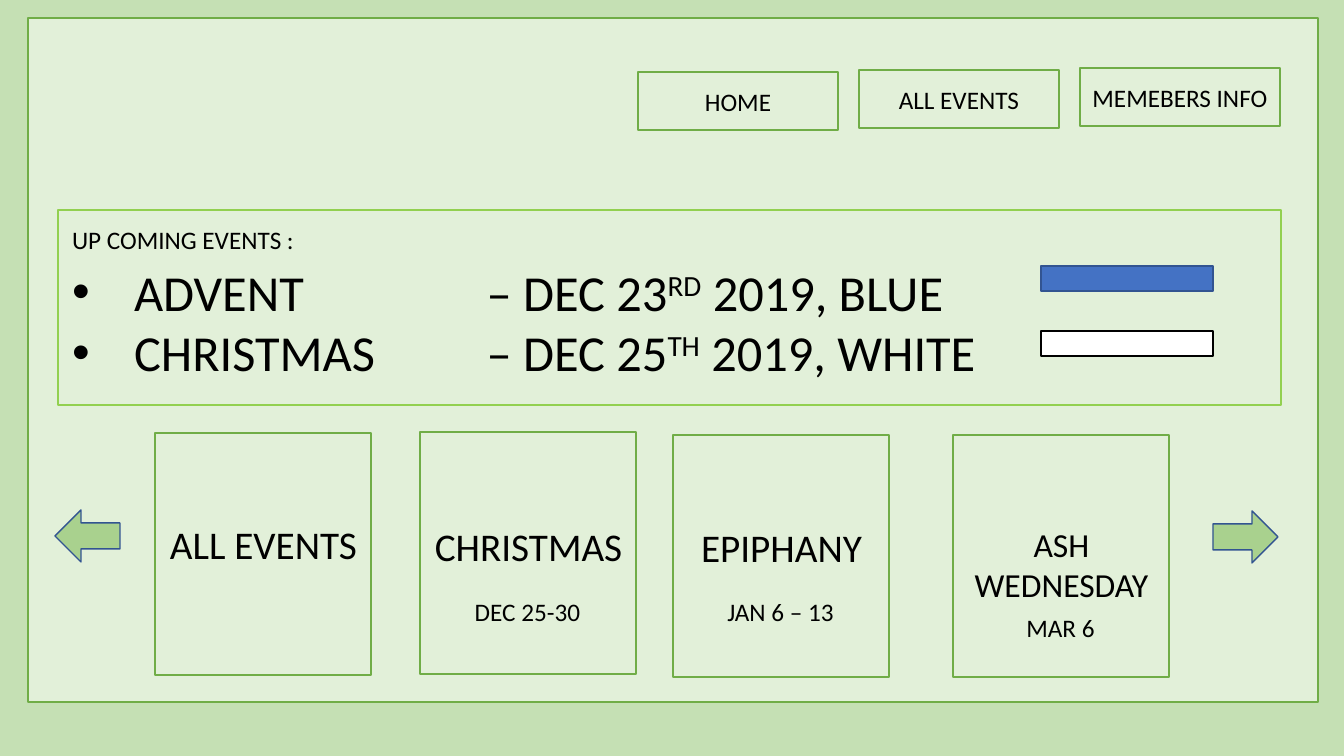
from lxml.etree import SubElement
from pptx import Presentation
from pptx.dml.color import RGBColor
from pptx.enum.shapes import MSO_SHAPE as SHAPE
from pptx.enum.text import MSO_ANCHOR as ANCHOR, MSO_AUTO_SIZE as AUTO, PP_ALIGN as ALIGN
from pptx.oxml.ns import qn
from pptx.util import Inches, Pt

PX = Inches(1) / 100.8
BLACK, WHITE, BLUE, NAVY = "000000", "FFFFFF", "4472C4", "325491"
BACK, PALE, GREEN, LIME, LEAF = "C5E0B4", "E2F0D9", "70AD47", "92D050", "A9D18E"


def px(n):
    return round(n * PX)


def rgb(color):
    return RGBColor.from_string(color)


class Page:
    """Style of the page and the slide being drawn."""

    font = "Calibri"

    def __init__(self, prs):
        self.slide = prs.slides.add_slide(prs.slide_layouts[1])
        fill = self.slide.background.fill
        fill.solid()
        fill.fore_color.rgb = rgb(BACK)

    def shape(self, kind, x, y, w, h, fill=PALE, line=GREEN):
        s = self.slide.shapes.add_shape(kind, px(x), px(y), px(w), px(h))
        s.shadow.inherit = False
        s.fill.solid()
        s.fill.fore_color.rgb = rgb(fill)
        s.line.color.rgb = rgb(line)
        s.line.width = Pt(1)
        return s

    def box(self, x, y, w, h, fill=PALE, line=GREEN):
        return self.shape(SHAPE.RECTANGLE, x, y, w, h, fill, line)

    def run(self, p, text, size, baseline=0):
        r = p.add_run()
        r.text = text
        r.font.name, r.font.size = self.font, Pt(size)
        r.font.color.rgb = rgb(BLACK)
        if baseline:
            r._r.get_or_add_rPr().set("baseline", str(baseline * 1000))

    def button(self, x, y, w, h, text):
        tf = self.box(x, y, w, h).text_frame
        tf.vertical_anchor = ANCHOR.MIDDLE
        p = tf.paragraphs[0]
        p.alignment = ALIGN.CENTER
        self.run(p, text, 18)

    def label(self, x, y, w, h, text, size):
        tf = self.slide.shapes.add_textbox(px(x), px(y), px(w), px(h)).text_frame
        tf.word_wrap = True
        p = tf.paragraphs[0]
        p.alignment = ALIGN.CENTER
        self.run(p, text, size)

    def place(self, s, x, y, w, h):
        """Move a placeholder to the given spot, in front of what is drawn so far."""
        s.left, s.top, s.width, s.height = px(x), px(y), px(w), px(h)
        self.slide.shapes._spTree.append(s._element)
        tf = s.text_frame
        tf.word_wrap, tf.auto_size, tf.vertical_anchor = True, AUTO.NONE, ANCHOR.TOP
        return tf

    def title(self, x, y, w, h, text):
        p = self.place(self.slide.shapes.title, x, y, w, h).paragraphs[0]
        p.alignment = ALIGN.LEFT
        self.run(p, text, 18)

    def bullets(self, x, y, w, h, items, size, indent):
        tf = self.place(self.slide.placeholders[1], x, y, w, h)
        for i, parts in enumerate(items):
            p = tf.add_paragraph() if i else tf.paragraphs[0]
            p.space_before = p.space_after = Pt(0)
            p.line_spacing = 1.0
            pPr = p._p.get_or_add_pPr()
            pPr.set("marL", str(px(indent)))
            pPr.set("indent", str(-px(indent)))
            pPr.set("defTabSz", str(Inches(1)))
            SubElement(pPr, qn("a:buFont")).set("typeface", "Arial")
            SubElement(pPr, qn("a:buChar")).set("char", "•")
            for text, baseline in zip(parts, (0, 30, 0)):
                self.run(p, text, size, baseline)


def main():
    prs = Presentation()
    prs.slide_width, prs.slide_height = px(1344), px(756)
    page = Page(prs)

    # Frame and navigation
    page.box(28, 18, 1290, 684)
    for i, text in enumerate(("HOME", "ALL EVENTS", "MEMEBERS INFO")):
        page.button(638 + 221 * i, 72 - 2 * i, 200, 58, text)

    # Upcoming events
    page.box(58, 210, 1223, 195, line=LIME)
    page.bullets(62, 256, 1219, 224, (
        ("ADVENT\t\t – DEC 23", "RD", " 2019, BLUE"),
        ("CHRISTMAS \t – DEC 25", "TH", " 2019, WHITE"),
    ), 36, 62)
    page.title(62, 219, 632, 40, "UP COMING EVENTS :")

    # Colour keys
    page.box(1041, 266, 172, 25, BLUE, NAVY)
    page.box(1041, 331, 172, 25, WHITE, BLACK)

    # Arrows either side of the cards
    page.shape(SHAPE.RIGHT_ARROW, 1213, 511, 65, 52, LEAF, NAVY)
    page.shape(SHAPE.LEFT_ARROW, 55, 510, 65, 52, LEAF, NAVY)

    # Event cards: left, top, name, name top, name height, size, dates, dates top
    cards = (
        (155, 433, "ALL EVENTS", 515, 57, 28, "", 0),
        (420, 432, "CHRISTMAS", 517, 57, 28, "DEC 25-30", 591),
        (673, 435, "EPIPHANY", 518, 57, 28, "JAN 6 – 13", 591),
        (953, 435, "ASH WEDNESDAY", 519, 92, 24, "MAR 6", 607),
    )
    for x, y, name, name_y, name_h, size, dates, dates_y in cards:
        page.box(x, y, 216, 242)
        page.label(x + 1, name_y, 215, name_h, name, size)
        if dates:
            page.label(x, dates_y, 215, 40, dates, 18)

    prs.save("out.pptx")


if __name__ == "__main__":
    main()
